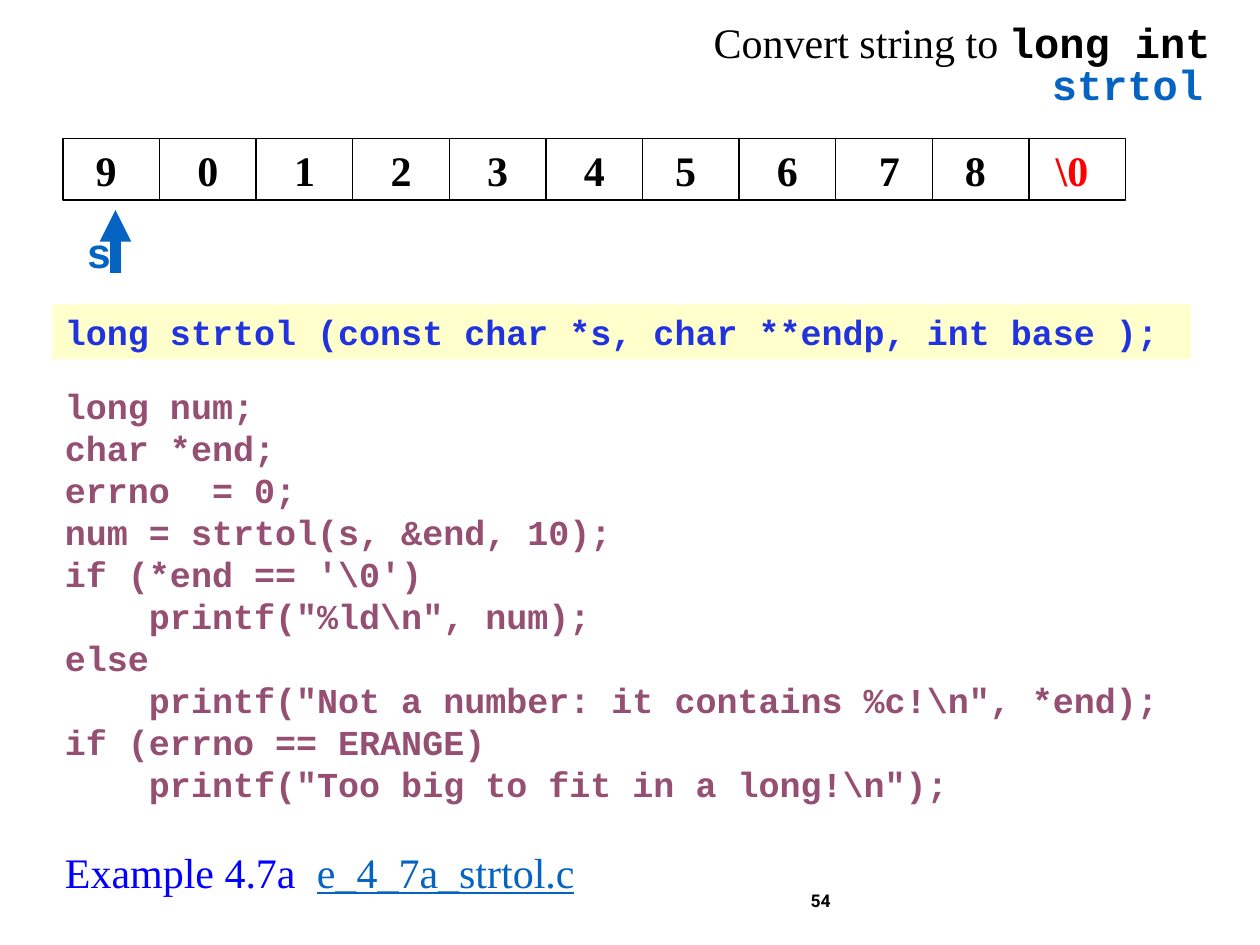
from dataclasses import dataclass

from lxml import etree
from pptx import Presentation
from pptx.dml.color import RGBColor
from pptx.enum.shapes import MSO_CONNECTOR, MSO_SHAPE
from pptx.enum.text import MSO_ANCHOR, MSO_AUTO_SIZE, PP_ALIGN
from pptx.oxml.ns import qn
from pptx.util import Inches, Pt

LEFT, CENTER, RIGHT = PP_ALIGN.LEFT, PP_ALIGN.CENTER, PP_ALIGN.RIGHT
TOP, MIDDLE = MSO_ANCHOR.TOP, MSO_ANCHOR.MIDDLE
GROW, FIXED = MSO_AUTO_SIZE.SHAPE_TO_FIT_TEXT, MSO_AUTO_SIZE.NONE
RECT, STRAIGHT = MSO_SHAPE.RECTANGLE, MSO_CONNECTOR.STRAIGHT


@dataclass(frozen=True)
class Theme:
    serif: str = "Times New Roman"
    mono: str = "Courier New"
    sans: str = "Roboto"
    large: int = 24
    code: int = 20
    small: int = 10
    black: str = "000000"
    accent: str = "0563C1"
    red: str = "FF0000"
    blue: str = "0000FF"
    prototype: str = "2133DF"
    plum: str = "954F72"
    cream: str = "FFFFCC"


T = Theme()

# Grid: twelve units to the inch, 120 columns by 90 rows
COLS, ROWS = 120, 90
MARGIN = 5
CELL_W, CELL_H = 9.2, 5.85

CHARS = ["9 ", "0", "1", "2", "3", " 4 ", "5 ", "6", " 7", "8 ", "\\0 "]
PROTOTYPE = "long strtol (const char *s, char **endp, int base ); "
CODE = r"""long num;
char *end;
errno  = 0;
num = strtol(s, &end, 10);
if (*end == '\0')
    printf("%ld\n", num);
else
    printf("Not a number: it contains %c!\n", *end);
if (errno == ERANGE)
    printf("Too big to fit in a long!\n");"""


def grid(*units):
    return [Inches(u / 12) for u in units]


def set_font(font, name=None, size=None, color=None, bold=None, underline=None):
    if name:
        font.name = name
    if size:
        font.size = Pt(size)
    if color:
        font.color.rgb = RGBColor.from_string(color)
    if bold is not None:
        font.bold = bold
    if underline is not None:
        font.underline = underline


def write(shape, lines, font, align=LEFT, anchor=TOP, wrap=True, size=GROW):
    """Each line is a list of (text, font changes) runs."""
    tf = shape.text_frame
    tf.word_wrap, tf.auto_size, tf.vertical_anchor = wrap, size, anchor
    for i, runs in enumerate(lines):
        p = tf.paragraphs[0] if i == 0 else tf.add_paragraph()
        p.alignment = align
        set_font(p.font, **font)
        for text, changes in runs:
            r = p.add_run()
            r.text = text
            set_font(r.font, **changes)


def add_text(shapes, box, lines, font, **layout):
    write(shapes.add_textbox(*grid(*box)), lines, font, **layout)


def add_box(shapes, box, text, font, fill=None, line=None, **layout):
    sp = shapes.add_shape(RECT, *grid(*box))
    sp.shadow.inherit = False
    if fill:
        sp.fill.solid()
        sp.fill.fore_color.rgb = RGBColor.from_string(fill)
    else:
        sp.fill.background()
    if line:
        sp.line.color.rgb = RGBColor.from_string(line)
        sp.line.width = Pt(0.75)
    else:
        sp.line.fill.background()
    write(sp, [[(text, {})]], font, wrap=False, **layout)


def add_arrow(shapes, ends, color, width):
    c = shapes.add_connector(STRAIGHT, *grid(*ends))
    c.line.color.rgb = RGBColor.from_string(color)
    c.line.width = Pt(width)
    etree.SubElement(c.line._get_or_add_ln(), qn("a:tailEnd"), type="triangle")
    etree.SubElement(c._element.spPr, qn("a:effectLst"))


def add_char_row(shapes, left, top):
    for i, char in enumerate(CHARS):
        color = T.red if char.startswith("\\") else T.black
        font = dict(name=T.serif, size=T.large, color=color, bold=True)
        add_box(shapes, (left + i * CELL_W, top, CELL_W, CELL_H), char, font,
                line=T.black, align=CENTER, anchor=MIDDLE, size=FIXED)


def main():
    prs = Presentation()
    prs.slide_width, prs.slide_height = grid(COLS, ROWS)
    s = prs.slides.add_slide(prs.slide_layouts[6])
    serif = dict(name=T.serif, size=T.large)
    name_font = dict(name=T.mono, size=T.large, color=T.accent, bold=True)
    code_font = dict(name=T.mono, size=T.code, bold=True)

    # Slide number
    add_text(s.shapes, (39.7, 83.4, 40.6, 4.8), [[("54", {})]],
             dict(name=T.sans, size=T.small, color=T.black, bold=True),
             align=RIGHT, anchor=MIDDLE, size=FIXED)

    # Title
    add_text(s.shapes, (99, MARGIN, 18, 6), [[("strtol", {})]], name_font)
    add_text(s.shapes, (66.8, 1, 50.6, 6),
             [[("Convert string to ", {}),
               ("long int ", dict(name=T.mono, bold=True))]],
             dict(serif, color=T.black), wrap=False)

    # Character array and the pointer to its start
    add_char_row(s.shapes.add_group_shape().shapes, 6, 13.2)
    pointer = s.shapes.add_group_shape().shapes
    add_arrow(pointer, (11, 26, 11, 20), T.accent, 6)
    add_text(pointer, (7, 21, 4.8, 6), [[("s", {})]], name_font,
             align=RIGHT, wrap=False)

    # Prototype and code
    add_box(s.shapes, (MARGIN, 29, 108.4, 5.2), PROTOTYPE,
            dict(code_font, color=T.prototype), fill=T.cream, align=LEFT)
    add_text(s.shapes, (MARGIN, 36, 110, 45.2),
             [[(line, {})] for line in CODE.splitlines()],
             dict(code_font, color=T.plum))

    # Example file
    add_text(s.shapes, (MARGIN, 80, 68, 6),
             [[("Example 4.7a \t", dict(color=T.blue)),
               ("e_4_7a_strtol.c", dict(color=T.accent, underline=True))]],
             serif)

    prs.save("out.pptx")


main()
